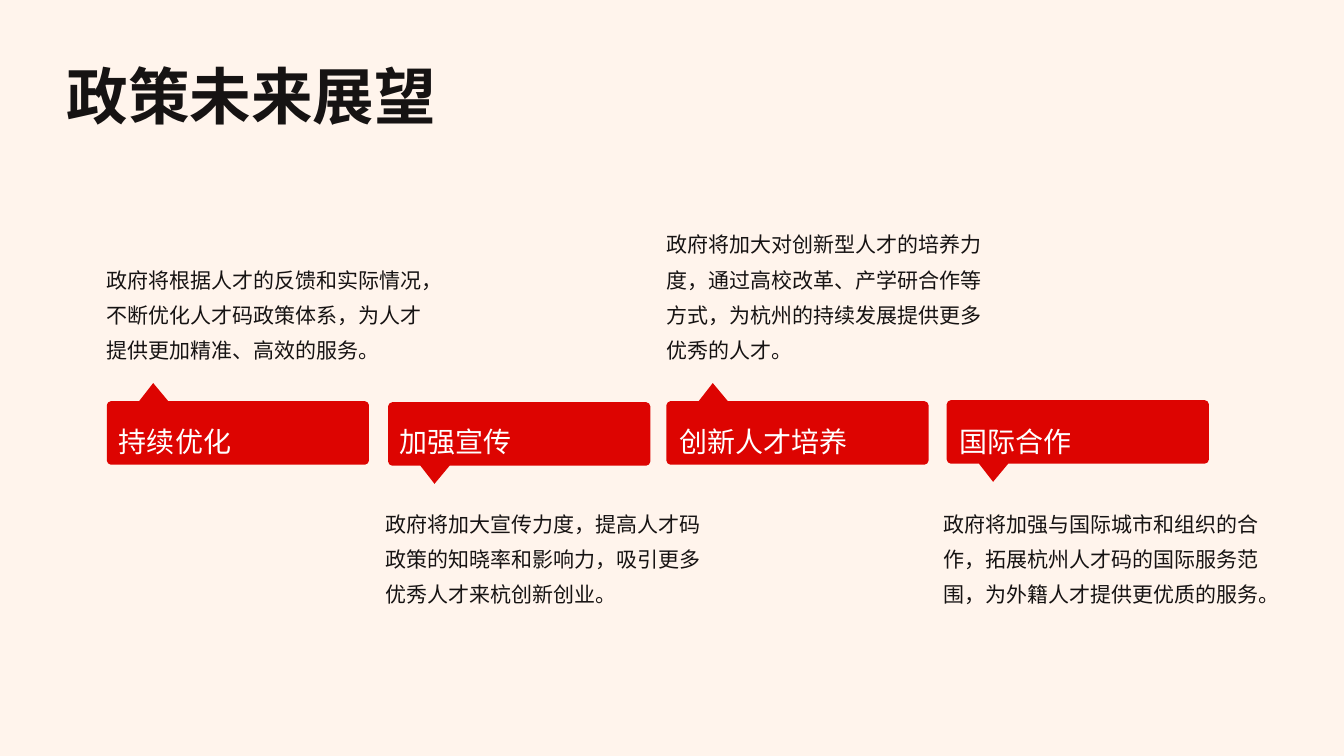
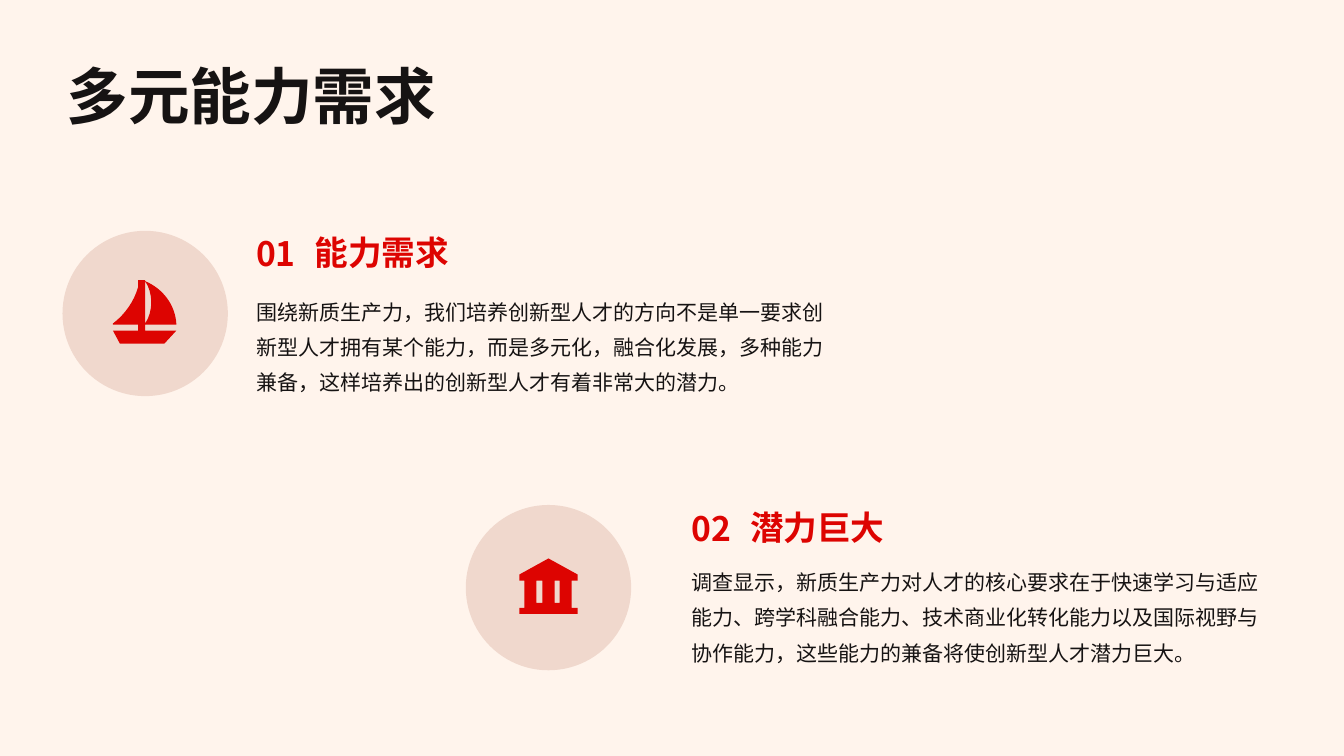
import pptx
import pptx.util
import pptx.dml.color
import pptx.enum.shapes
import pptx.enum.text
from lxml import etree

Inches, Pt = pptx.util.Inches, pptx.util.Pt
RGB = pptx.dml.color.RGBColor
ANCHOR = pptx.enum.text.MSO_ANCHOR

# Shared look
CREAM = RGB(0xFF, 0xF4, 0xEC)
RED = RGB(0xDD, 0x04, 0x01)
ROSE = RGB(0xF0, 0xD8, 0xCD)
INK = RGB(0x16, 0x13, 0x13)
WHITE = RGB(0xFF, 0xFF, 0xFF)
FACE = "Noto Sans CJK SC"
NS = "{http://schemas.openxmlformats.org/drawingml/2006/main}"

# Style: size, bold, colour, line spacing, insets (left, top, right, bottom)
TITLE = (44, True, INK, 1.4, (0.14, 0.14, 0.06, 0.14))
LABEL = (20, False, WHITE, 1.5, (0, 0.04, 0.07, 0.04))
NOTE = (15, False, INK, 1.4, (0, 0.04, 0.07, 0.04))
HEAD = (24, True, RED, 1.2, (0.07, 0.04, 0.07, 0.04))
BODY = (15, False, INK, 1.4, (0.07, 0.04, 0.07, 0.04))

# Content: tag left and top, label, note; tags point up and down in turn
PLANS = [
    (1.06, 3.98, "持续优化", "政府将根据人才的反馈和实际情况，不断优化人才码政策体系，为人才提供更加精准、高效的服务。"),
    (3.85, 3.99, "加强宣传", "政府将加大宣传力度，提高人才码政策的知晓率和影响力，吸引更多优秀人才来杭创新创业。"),
    (6.61, 3.98, "创新人才培养", "政府将加大对创新型人才的培养力度，通过高校改革、产学研合作等方式，为杭州的持续发展提供更多优秀的人才。"),
    (9.39, 3.97, "国际合作", "政府将加强与国际城市和组织的合作，拓展杭州人才码的国际服务范围，为外籍人才提供更优质的服务。"),
]


def box(x, y, w, h):
    return [(x, y), (x + w, y), (x + w, y + h), (x, y + h)]


# Outlines: a pair is a line to that point, six numbers are a curve
BOAT = [
    [(0.25, 0.06), (0.25, 0), (0.32, 0), (0.32, 0.5), (0.63, 0.5),
     (0.51, 0.63), (0.07, 0.63), (0, 0.5), (0.25, 0.5), (0.25, 0.44),
     (0, 0.44), (0, 0.43), (0.12, 0.34, 0.21, 0.21, 0.25, 0.07)],
    [(0.63, 0.44), (0.32, 0.44), (0.32, 0.43),
     (0.36, 0.37, 0.38, 0.3, 0.38, 0.22),
     (0.38, 0.14, 0.36, 0.07, 0.32, 0.01),
     (0.49, 0.08, 0.62, 0.24, 0.63, 0.44)],
]
HALL = [
    [(0, 0.16), (0.29, 0), (0.58, 0.16), (0.58, 0.22), (0, 0.22)],
    box(0, 0.49, 0.58, 0.06), box(0.05, 0.44, 0.47, 0.05),
] + [box(x, 0.22, 0.12, 0.22) for x in (0.05, 0.23, 0.4)]

# Disc corner, text left, heading top, body top, icon, icon inset, words
NEEDS = [
    (0.62, 2.29, 2.47, 2.2, 2.83, BOAT, (0.5, 0.49), "01", "能力需求",
     "围绕新质生产力，我们培养创新型人才的方向不是单一要求创新型人才拥有某个能力，而是多元化，融合化发展，多种能力兼备，这样培养出的创新型人才有着非常大的潜力。"),
    (4.62, 5.01, 6.79, 4.93, 5.51, HALL, (0.53, 0.53), "02", "潜力巨大",
     "调查显示，新质生产力对人才的核心要求在于快速学习与适应能力、跨学科融合能力、技术商业化转化能力以及国际视野与协作能力，这些能力的兼备将使创新型人才潜力巨大。"),
]


def write(shape, text, style, anchor):
    size, bold, color, gap, pads = style
    frame = shape.text_frame
    sides = zip(("left", "top", "right", "bottom"), pads)
    form = {"margin_" + side: Inches(pad) for side, pad in sides}
    form.update(word_wrap=True, vertical_anchor=anchor,
                auto_size=pptx.enum.text.MSO_AUTO_SIZE.NONE)
    para = frame.paragraphs[0]
    run = para.add_run()
    run.text = text
    for part, values in (
        (frame, form),
        (para, {"alignment": pptx.enum.text.PP_ALIGN.LEFT, "line_spacing": gap}),
        (run.font, {"name": FACE, "size": Pt(size), "bold": bold}),
    ):
        for key, value in values.items():
            setattr(part, key, value)
    run.font.color.rgb = color
    props = run.font._element
    props.set("lang", "zh-CN")
    etree.SubElement(props, NS + "ea").set("typeface", FACE)


def add_text(slide, at, text, style, anchor=ANCHOR.TOP):
    shape = slide.shapes.add_textbox(*map(Inches, at))
    write(shape, text, style, anchor)


def paint(shape, color):
    shape.shadow.inherit = False
    shape.fill.solid()
    shape.fill.fore_color.rgb = color
    shape.line.fill.background()


def bend(shape, paths, left, top):
    """Swap the straight steps of curved items for Bezier steps."""
    steps = list(shape._element.iter(NS + "lnTo"))
    items = [item for path in paths for item in path[1:]]
    for step, item in zip(steps, items):
        if len(item) == 2:
            continue
        curve = etree.Element(NS + "cubicBezTo")
        for x, y in zip(item[::2], item[1::2]):
            point = etree.SubElement(curve, NS + "pt")
            point.set("x", str(Inches(left + x) - shape.left))
            point.set("y", str(Inches(top + y) - shape.top))
        step.getparent().replace(step, curve)


def add_free(slide, paths, left, top, color):
    pen = None
    for path in paths:
        spots = [(Inches(left + item[-2]), Inches(top + item[-1])) for item in path]
        if pen is None:
            pen = slide.shapes.build_freeform(*spots[0])
        else:
            pen.move_to(*spots[0])
        pen.add_line_segments(spots[1:], close=True)
    shape = pen.convert_to_shape()
    bend(shape, paths, left, top)
    paint(shape, color)


def add_tag(slide, left, top, up):
    """Rounded bar with a pointer on its upper or lower edge."""
    w, h, r, c = 2.6, 0.63, 0.04, 0.02
    path = [(0.46, -0.18), (0.32, 0), (r, 0), (c, 0, 0, c, 0, r),
            (0, h - r), (0, h - c, c, h, r, h), (w - r, h),
            (w - c, h, w, h - c, w, h - r), (w, r),
            (w, c, w - c, 0, w - r, 0), (0.61, 0)]
    if not up:
        path = [tuple(h - v if i % 2 else v for i, v in enumerate(item))
                for item in path]
    add_free(slide, [path], left, top, RED)


def add_slide(deck, title):
    slide = deck.slides.add_slide(deck.slide_layouts[5])
    shape = slide.shapes.title
    spots = map(Inches, (0.52, 0.29, 12.29, 1))
    for key, value in zip(("left", "top", "width", "height"), spots):
        setattr(shape, key, value)
    write(shape, title, TITLE, ANCHOR.MIDDLE)
    return slide


def add_plans(deck):
    slide = add_slide(deck, "政策未来展望")
    for i, (left, top, label, note) in enumerate(PLANS):
        up = i % 2 == 0
        add_tag(slide, left, top, up)
        add_text(slide, (1.18 + 2.78 * i, 4.07, 2.34, 0.44),
                 label, LABEL, ANCHOR.MIDDLE)
        add_text(slide, (left if up else left - 0.03, 2.09 if up else 4.93, 3.21, 1.55),
                 note, NOTE, ANCHOR.BOTTOM if up else ANCHOR.TOP)


def add_needs(deck):
    slide = add_slide(deck, "多元能力需求")
    oval = pptx.enum.shapes.MSO_SHAPE.OVAL
    for x, y, left, top, low, icon, inset, num, head, body in NEEDS:
        disc = slide.shapes.add_shape(oval, *map(Inches, (x, y, 1.64, 1.64)))
        paint(disc, ROSE)
        add_free(slide, icon, x + inset[0], y + inset[1], RED)
        add_text(slide, (left, top - 0.08, 0.72, 0.7), num, HEAD, ANCHOR.MIDDLE)
        add_text(slide, (left + 0.58, top, 3.27, 0.54), head, HEAD, ANCHOR.BOTTOM)
        add_text(slide, (left, low, 5.94, 1.17), body, BODY)


def main():
    deck = pptx.Presentation()
    deck.slide_width, deck.slide_height = Inches(13.33), Inches(7.5)
    back = deck.slide_master.background.fill
    back.solid()
    back.fore_color.rgb = CREAM
    add_plans(deck)
    add_needs(deck)
    deck.save("out.pptx")


if __name__ == "__main__":
    main()
